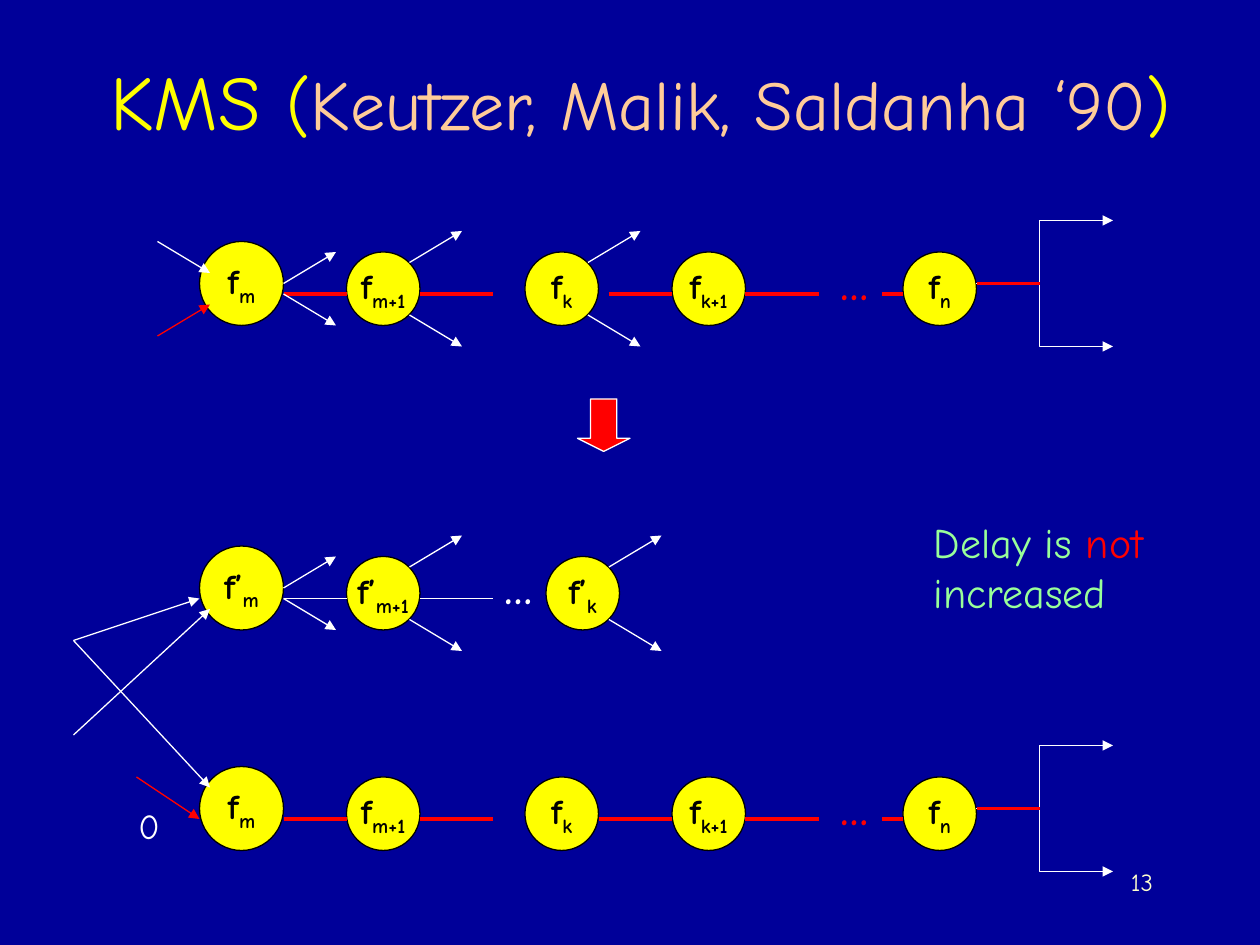
import dataclasses
import typing

import pptx
import pptx.dml.color
import pptx.enum.shapes
import pptx.enum.text
import pptx.oxml
import pptx.oxml.ns
import pptx.util

Pt = pptx.util.Pt
SHAPES = pptx.enum.shapes.MSO_SHAPE
ALIGN = pptx.enum.text.PP_ALIGN
ANCHOR = pptx.enum.text.MSO_ANCHOR
FIT = pptx.enum.text.MSO_AUTO_SIZE

FONT = "Comic Neue"
NAVY, YELLOW, PEACH, CREAM = "000099", "FFFF00", "FFCC99", "FFFFCC"
RED, WHITE, BLACK, GREEN = "FF0000", "FFFFFF", "000000", "99FF99"
THIN, THICK = 0.75, 2.25
SMALL, BIG = 42, 48
POSITIONS = {"m": 114, "m+1": 198, "k": 300, "k+1": 384, "n": 516}


@dataclasses.dataclass
class Piece:
    text: str
    size: float
    color: str
    bold: bool = False
    subscript: bool = False


@dataclasses.dataclass
class Wire:
    x1: float
    y1: float
    x2: float
    y2: float
    color: str = WHITE
    width: float = THIN
    arrow: bool = True


@dataclasses.dataclass
class Chain:
    top: float
    symbol: str
    positions: dict[str, float]
    spans: list[tuple[float, float]]
    color: str
    width: float
    dots_left: float
    fan_outs: tuple[str, ...] = ()
    has_output: bool = True


def rgb(color: str) -> pptx.dml.color.RGBColor:
    return pptx.dml.color.RGBColor.from_string(color)


def apply(target: typing.Any, values: dict[str, typing.Any]) -> None:
    for name, value in values.items():
        setattr(target, name, value)


def write(shape, lines: list[list[Piece]], align=ALIGN.LEFT, **frame_values) -> None:
    frame = shape.text_frame
    apply(frame, {"word_wrap": False, "auto_size": FIT.NONE, **frame_values})
    for index, pieces in enumerate(lines):
        paragraph = frame.add_paragraph() if index else frame.paragraphs[0]
        paragraph.alignment = align
        for piece in pieces:
            run = paragraph.add_run()
            run.text = piece.text
            apply(run.font, {"name": FONT, "size": Pt(piece.size), "bold": piece.bold})
            run.font.color.rgb = rgb(piece.color)
            if piece.subscript:
                run._r.get_or_add_rPr().set("baseline", "-25000")


def add_label(slide, box: tuple[float, ...], lines: list[list[Piece]], **values) -> None:
    shape = slide.shapes.add_textbox(*map(Pt, box))
    write(shape, lines, **{"auto_size": FIT.SHAPE_TO_FIT_TEXT, **values})


def style_line(shape, color: str, width: float, arrow: bool = False) -> None:
    shape.line.color.rgb = rgb(color)
    shape.line.width = Pt(width)
    if arrow:
        outline = shape._element.spPr.find(pptx.oxml.ns.qn("a:ln"))
        namespace = pptx.oxml.ns.nsdecls("a")
        outline.append(pptx.oxml.parse_xml(f'<a:tailEnd {namespace} type="triangle"/>'))


def add_wire(slide, wire: Wire) -> None:
    ends = map(Pt, (wire.x1, wire.y1, wire.x2, wire.y2))
    connector = slide.shapes.add_connector(pptx.enum.shapes.MSO_CONNECTOR.STRAIGHT, *ends)
    style_line(connector, wire.color, wire.width, wire.arrow)
    namespace = pptx.oxml.ns.nsdecls("a")
    connector._element.spPr.append(pptx.oxml.parse_xml(f"<a:effectLst {namespace}/>"))


def add_bent_arrow(slide, points: list[tuple[float, float]]) -> None:
    vertices = [(Pt(x), Pt(y)) for x, y in points]
    builder = slide.shapes.build_freeform(*vertices[0])
    builder.add_line_segments(vertices[1:], close=False)
    shape = builder.convert_to_shape()
    shape.shadow.inherit = False
    shape.fill.background()
    style_line(shape, WHITE, THIN, arrow=True)


def add_filled(slide, kind, box: tuple[float, ...], fill: str, line: str):
    shape = slide.shapes.add_shape(kind, *map(Pt, box))
    shape.shadow.inherit = False
    shape.fill.solid()
    shape.fill.fore_color.rgb = rgb(fill)
    style_line(shape, line, THIN)
    return shape


def add_node(slide, x: float, top: float, symbol: str, name: str) -> None:
    size = BIG if name == "m" else SMALL
    box = (x, top + SMALL - size, size, size)
    node = add_filled(slide, SHAPES.OVAL, box, YELLOW, BLACK)
    pieces = [Piece(symbol, 20, BLACK, True), Piece(name, 20, BLACK, True, True)]
    write(node, [pieces], align=ALIGN.CENTER, vertical_anchor=ANCHOR.MIDDLE)


def add_fan_out(slide, x: float, top: float, name: str) -> None:
    if name == "m":
        start, upper, lower, rise = x + BIG, top + 18, top + 24, 18
    else:
        start, upper, lower, rise = x + 36, top + 6, top + 36, 18
    add_wire(slide, Wire(start, upper, start + 30, upper - rise))
    add_wire(slide, Wire(start, lower, start + 30, lower + rise))


def add_output(slide, chain: Chain) -> None:
    left, fork, right = 558, 594, 636
    middle = chain.top + 18
    upper, lower = middle - 36, middle + 36
    add_bent_arrow(slide, [(left, middle), (fork, middle), (fork, upper), (right, upper)])
    add_bent_arrow(slide, [(fork, middle), (fork, lower), (right, lower)])
    add_wire(slide, Wire(left, middle, fork, middle, chain.color, chain.width, False))


def add_chain(slide, chain: Chain) -> None:
    for name, x in chain.positions.items():
        add_node(slide, x, chain.top, chain.symbol, name)
    if chain.has_output:
        add_output(slide, chain)
    level = chain.top + 24
    for start, end in chain.spans:
        add_wire(slide, Wire(start, level, end, level, chain.color, chain.width, False))
    dots = Piece("…", 24, chain.color, True)
    add_label(slide, (chain.dots_left, chain.top, 30, 36), [[dots]])
    for name in chain.fan_outs:
        add_fan_out(slide, chain.positions[name], chain.top, name)


def main() -> None:
    presentation = pptx.Presentation()
    apply(presentation, {"slide_width": Pt(720), "slide_height": Pt(540)})
    slide = presentation.slides.add_slide(presentation.slide_layouts[5])
    slide.background.fill.solid()
    slide.background.fill.fore_color.rgb = rgb(NAVY)

    title = slide.shapes.title
    apply(title, {"left": Pt(12), "top": Pt(12), "width": Pt(708), "height": Pt(90)})
    heading = [Piece("KMS ", 44, YELLOW), Piece("(", 40, YELLOW),
               Piece("Keutzer, Malik, Saldanha ‘90", 40, PEACH), Piece(")", 40, YELLOW)]
    write(title, [heading], align=ALIGN.CENTER, word_wrap=True, vertical_anchor=ANCHOR.MIDDLE)

    head = [(162, 198), (240, 282)]
    tail = [(426, 468), (504, 516)]
    copied = {"m": 114, "m+1": 198, "k": 312}
    chains = [
        Chain(144, "f", POSITIONS, head + [(348, 384)] + tail, RED, THICK, 473,
              ("m", "m+1", "k")),
        Chain(318, "f’", copied, head, WHITE, THIN, 281.5, tuple(copied), False),
        Chain(444, "f", POSITIONS, head + [(342, 384)] + tail, RED, THICK, 473),
    ]
    for chain in chains:
        add_chain(slide, chain)

    add_filled(slide, SHAPES.DOWN_ARROW, (330, 228, 30, 30), RED, WHITE).adjustments[1] = 0.25

    inputs = [
        Wire(90, 192, 120, 174, RED), Wire(90, 138, 120, 156),
        Wire(42, 366, 120, 450), Wire(42, 420, 120, 348), Wire(42, 366, 114, 342),
        Wire(78, 444, 114, 468, RED),
    ]
    for wire in inputs:
        add_wire(slide, wire)

    add_label(slide, (72, 456, 26.5, 31.5), [[Piece("0", 20, WHITE)]])
    add_label(slide, (526.5, 291.5, 134, 65),
              [[Piece("Delay is ", 24, GREEN), Piece("not", 24, RED)],
               [Piece("increased", 24, GREEN)]])
    add_label(slide, (516, 492, 150, 36), [[Piece("13", 14, CREAM)]],
              align=ALIGN.RIGHT, word_wrap=True, auto_size=FIT.NONE)
    presentation.save("out.pptx")


if __name__ == "__main__":
    main()
